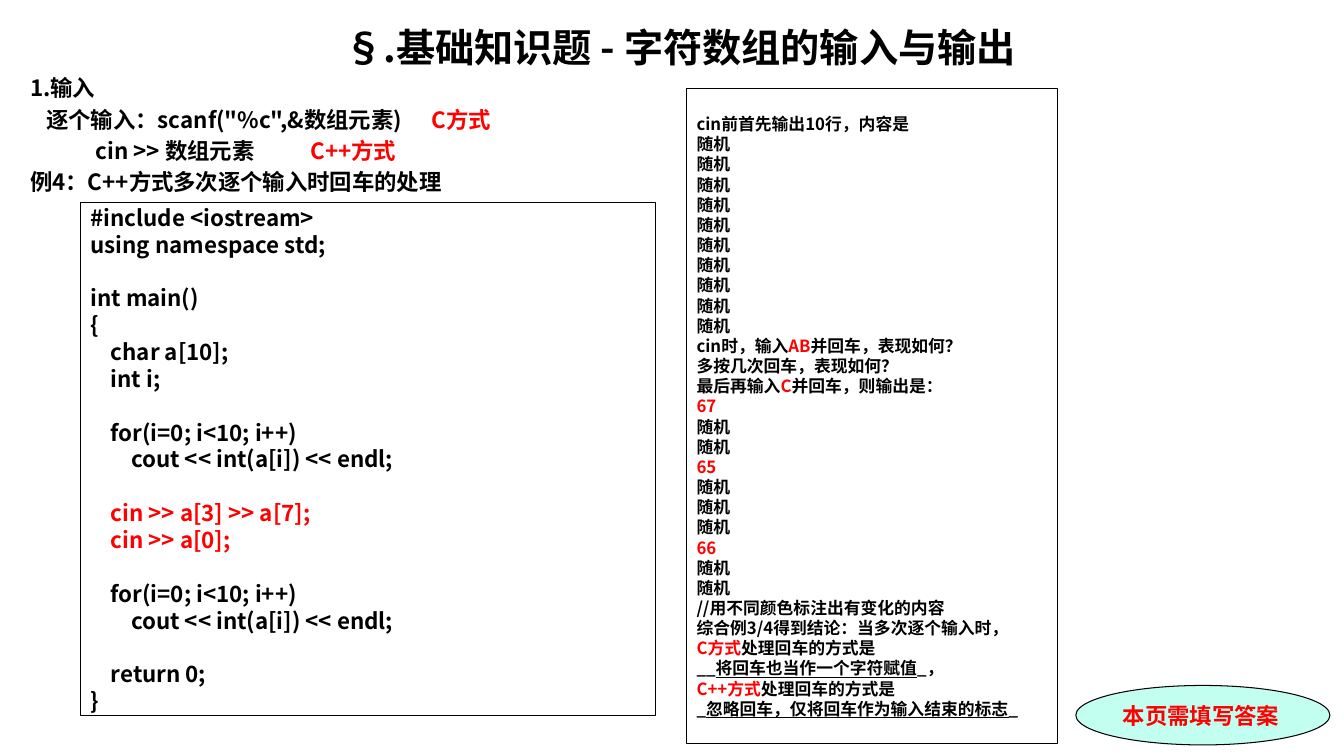
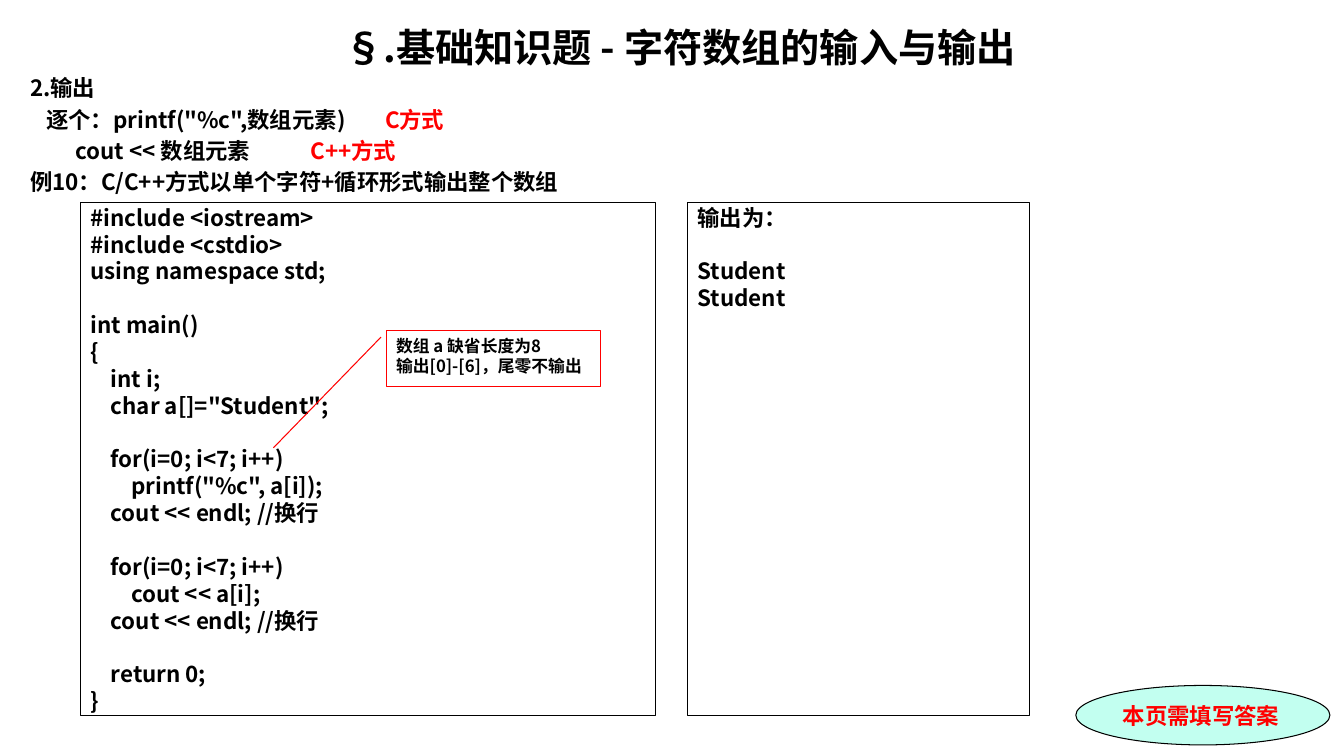
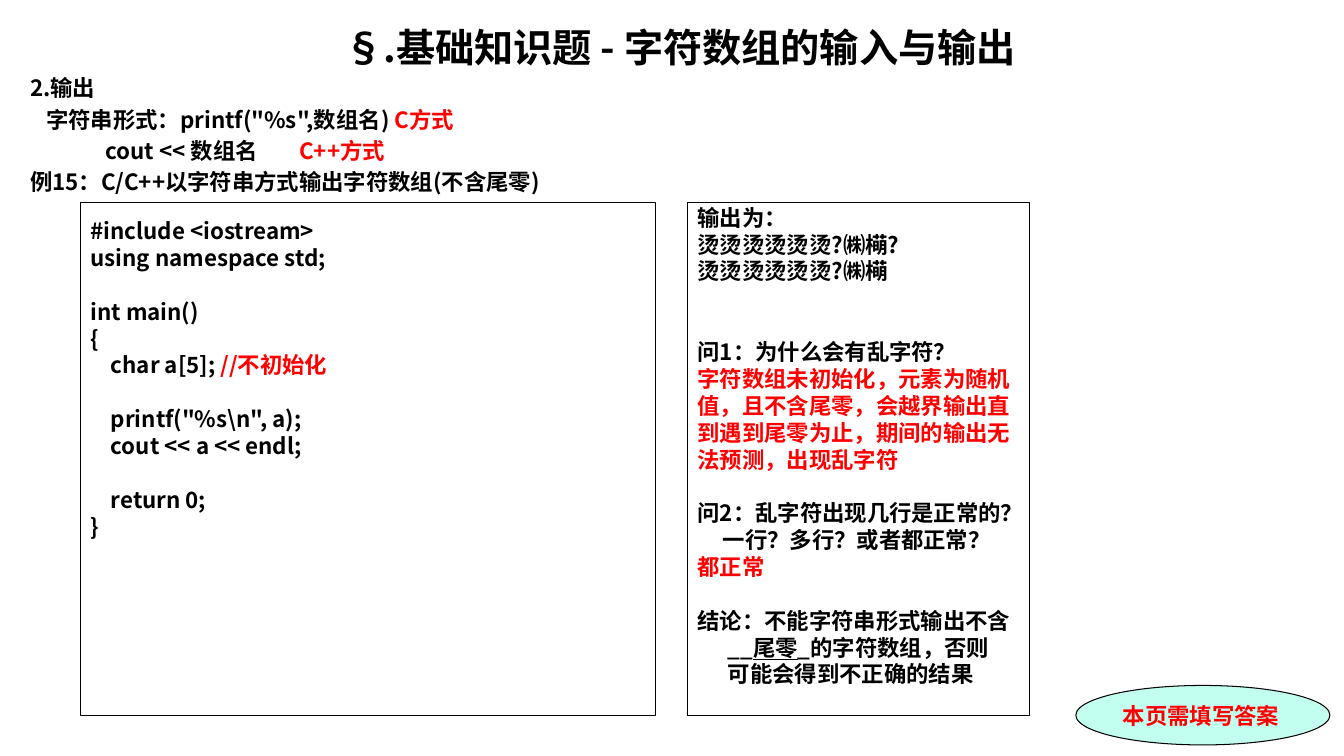
from dataclasses import dataclass

from lxml.etree import SubElement
from pptx import Presentation
from pptx.dml.color import RGBColor
from pptx.enum.shapes import MSO_SHAPE
from pptx.enum.text import MSO_ANCHOR, PP_ALIGN
from pptx.oxml.ns import qn
from pptx.util import Inches, Pt


@dataclass(frozen=True)
class Theme:
    ink: RGBColor = RGBColor(0, 0, 0)
    red: RGBColor = RGBColor(0xFF, 0, 0)
    mint: RGBColor = RGBColor(0xC2, 0xFF, 0xF0)
    font: str = "Noto Sans CJK SC"
    badge_font: str = "Times New Roman"
    title: int = 28
    body: int = 16
    small: int = 12
    outline: float = 0.75
    leading: float = 1.2
    heading_gap: float = 0.2


@dataclass(frozen=True)
class Span:
    text: str
    red: bool = False
    underline: bool = False


def red(text):
    return Span(text, red=True)


def blank(text):
    """An answer filled in on an underlined blank."""
    return Span(text, underline=True)


THEME = Theme()
TITLE = "§.基础知识题 - 字符数组的输入与输出"
BADGE = "本页需填写答案"
C_WAY, CPP_WAY = red("C方式"), red("C++方式")
RANDOM = "随机"

# A line is a string, a Span or a tuple of both; "" leaves one line free.
# "stops" gives the tab stops, in inches, of the lines that hold tabs.
SLIDES = [
    {
        "heading": [
            "1.输入",
            ('\t逐个输入：scanf("%c",&数组元素)\t', C_WAY),
            ("\tcin >> 数组元素\t", CPP_WAY),
            "例4：C++方式多次逐个输入时回车的处理",
        ],
        "stops": {1: (0.16, 3.98), 2: (0.65, 2.78)},
        "code": [
            "#include <iostream>",
            "using namespace std;",
            "",
            "int main()",
            "{",
            "    char a[10];",
            "    int i;",
            "",
            "    for(i=0; i<10; i++)",
            "        cout << int(a[i]) << endl;",
            "",
            red("    cin >> a[3] >> a[7];"),
            red("    cin >> a[0];"),
            "",
            "    for(i=0; i<10; i++)",
            "        cout << int(a[i]) << endl;",
            "",
            "    return 0;",
            "}",
        ],
        "code_rows": 19,
        "answer": [
            "cin前首先输出10行，内容是",
            *[RANDOM] * 10,
            ("cin时，输入", red("AB"), "并回车，表现如何？"),
            "多按几次回车，表现如何？",
            ("最后再输入", red("C"), "并回车，则输出是："),
            red("67"),
            *[RANDOM] * 2,
            red("65"),
            *[RANDOM] * 3,
            red("66"),
            *[RANDOM] * 2,
            "//用不同颜色标注出有变化的内容",
            "综合例3/4得到结论：当多次逐个输入时，",
            (C_WAY, "处理回车的方式是"),
            ("__", blank("将回车也当作一个字符赋值"), "_，"),
            (CPP_WAY, "处理回车的方式是"),
            ("_", blank("忽略回车，仅将回车作为输入结束的标志"), "_"),
        ],
        "answer_rows": 30,
        "answer_at": (6.81, 0.88, 3.68, 6.5),
        "answer_size": THEME.small,
    },
    {
        "heading": [
            "2.输出",
            ('\t逐个：printf("%c",数组元素)\t', C_WAY),
            ("\tcout << 数组元素\t", CPP_WAY),
            "例10：C/C++方式以单个字符+循环形式输出整个数组",
        ],
        "stops": {1: (0.16, 3.52), 2: (0.45, 2.78)},
        "code": [
            "#include <iostream>",
            "#include <cstdio>",
            "using namespace std;",
            "",
            "int main()",
            "{",
            "    int i;",
            '    char a[]="Student";',
            "",
            "    for(i=0; i<7; i++)",
            '        printf("%c", a[i]);',
            "    cout << endl; //换行",
            "",
            "    for(i=0; i<7; i++)",
            "        cout << a[i];",
            "    cout << endl; //换行",
            "",
            "    return 0;",
            "}",
        ],
        "code_rows": 19,
        "answer": ["输出为：", "", "Student", "Student"],
        "answer_rows": 19,
        "callout": ["数组 a 缺省长度为8", "输出[0]-[6]，尾零不输出"],
    },
    {
        "heading": [
            "2.输出",
            ('\t字符串形式：printf("%s",数组名) ', C_WAY),
            ("\tcout << 数组名\t", CPP_WAY),
            "例15：C/C++以字符串方式输出字符数组(不含尾零)",
        ],
        "stops": {1: (0.16,), 2: (0.75, 2.67)},
        "code": [
            "#include <iostream>",
            "using namespace std;",
            "",
            "int main()",
            "{",
            ("    char a[5]; ", red("//不初始化")),
            "",
            '    printf("%s\\n", a);',
            "    cout << a << endl;",
            "",
            "    return 0;",
            "}",
        ],
        "code_rows": 18,
        "answer": [
            "输出为：",
            "烫烫烫烫烫烫?㈱橗?",
            "烫烫烫烫烫烫?㈱橗",
            "",
            "",
            "问1：为什么会有乱字符？",
            red("字符数组未初始化，元素为随机"),
            red("值，且不含尾零，会越界输出直"),
            red("到遇到尾零为止，期间的输出无"),
            red("法预测，出现乱字符"),
            "",
            "问2：乱字符出现几行是正常的？",
            "\t一行？多行？或者都正常？",
            red("都正常"),
            "",
            "结论：不能字符串形式输出不含",
            ("\t__", blank("尾零"), "_的字符数组，否则"),
            "\t可能会得到不正确的结果",
        ],
        "answer_rows": 19,
        "answer_stops": {12: (0.25,), 16: (0.3,), 17: (0.3,)},
    },
]

TITLE_AT = (0.2, 0.18, 12.99, 0.57)
HEADING_AT = (0.2, 0.69, 12.99, 1.3)
CODE_AT = (0.8, 2.01, 5.7, 5.09)
ANSWER_AT = (6.82, 2.01, 3.39, 5.09)
CALLOUT_AT = (3.83, 3.28, 2.13, 0.55)
CALLOUT_LEADER = (0.117, -0.024, 2.115, -0.525)
BADGE_AT = (10.67, 6.8, 2.52, 0.59)


def to_spans(line):
    parts = line if isinstance(line, tuple) else (line,)
    return [Span(part) if isinstance(part, str) else part for part in parts]


def add_tab_stops(paragraph, stops):
    tabs = SubElement(paragraph._p.get_or_add_pPr(), qn("a:tabLst"))
    for stop in stops:
        SubElement(tabs, qn("a:tab"), pos=str(Inches(stop)), algn="l")


def write(frame, lines, size, font=THEME.font, gap=0, stops=None):
    """Fill a frame; gap is the space between lines as a share of the size."""
    frame.word_wrap = True
    frame.margin_right = 0
    free_rows = 0
    for index, line in enumerate(lines):
        if line == "":
            free_rows += 1
            continue
        paragraph = frame.add_paragraph() if index else frame.paragraphs[0]
        paragraph.alignment = PP_ALIGN.LEFT
        paragraph.line_spacing = Pt(size * THEME.leading)
        if index:
            paragraph.space_before = Pt(size * (gap + free_rows * THEME.leading))
        free_rows = 0
        if stops and index in stops:
            add_tab_stops(paragraph, stops[index])

        spans = to_spans(line)
        all_red = all(span.red for span in spans)
        paragraph.font.size = Pt(size)
        paragraph.font.bold = True
        paragraph.font.color.rgb = THEME.red if all_red else THEME.ink
        paragraph.font.name = font
        defaults = paragraph._p.get_or_add_pPr().get_or_add_defRPr()
        SubElement(defaults, qn("a:ea"), typeface=THEME.font)
        for span in spans:
            run = paragraph.add_run()
            run.text = span.text
            if span.red and not all_red:
                run.font.color.rgb = THEME.red
            if span.underline:
                run.font.underline = True


def add_text(slide, at, lines, size, **style):
    frame = slide.shapes.add_textbox(*map(Inches, at)).text_frame
    write(frame, lines, size, **style)
    return frame


def add_outlined(slide, kind, at, line=THEME.ink, fill=None):
    shape = slide.shapes.add_shape(kind, *map(Inches, at))
    shape.shadow.inherit = False
    shape.line.color.rgb = line
    shape.line.width = Pt(THEME.outline)
    if fill is None:
        shape.fill.background()
    else:
        shape.fill.solid()
        shape.fill.fore_color.rgb = fill
    shape.text_frame.vertical_anchor = MSO_ANCHOR.TOP
    return shape


def add_panel(slide, at, lines, rows, size=THEME.body, stops=None):
    """A bordered box whose given number of rows is centred in its height."""
    frame = add_outlined(slide, MSO_SHAPE.RECTANGLE, at).text_frame
    frame.margin_top = int((Inches(at[3]) - rows * Pt(size * THEME.leading)) / 2)
    frame.margin_bottom = 0
    write(frame, lines, size, stops=stops)


def add_callout(slide, lines):
    callout = add_outlined(slide, MSO_SHAPE.LINE_CALLOUT_1, CALLOUT_AT, line=THEME.red)
    for index, value in enumerate(CALLOUT_LEADER):
        callout.adjustments[index] = value
    write(callout.text_frame, lines, THEME.small)


def add_badge(slide):
    badge = add_outlined(slide, MSO_SHAPE.OVAL, BADGE_AT, fill=THEME.mint)
    badge.text_frame.vertical_anchor = MSO_ANCHOR.MIDDLE
    write(badge.text_frame, [red(BADGE)], THEME.body, font=THEME.badge_font)


def build_slide(deck, content):
    slide = deck.slides.add_slide(deck.slide_layouts[6])
    title = add_text(slide, TITLE_AT, [TITLE], THEME.title)
    title.paragraphs[0].alignment = PP_ALIGN.CENTER
    add_text(slide, HEADING_AT, content["heading"], THEME.body,
             gap=THEME.heading_gap, stops=content["stops"])
    add_badge(slide)
    add_panel(slide, CODE_AT, content["code"], content["code_rows"])
    add_panel(slide, content.get("answer_at", ANSWER_AT), content["answer"],
              content["answer_rows"], content.get("answer_size", THEME.body),
              content.get("answer_stops"))
    if "callout" in content:
        add_callout(slide, content["callout"])


def main():
    deck = Presentation()
    deck.slide_width, deck.slide_height = Inches(13.33), Inches(7.5)
    for content in SLIDES:
        build_slide(deck, content)
    deck.save("out.pptx")


if __name__ == "__main__":
    main()
